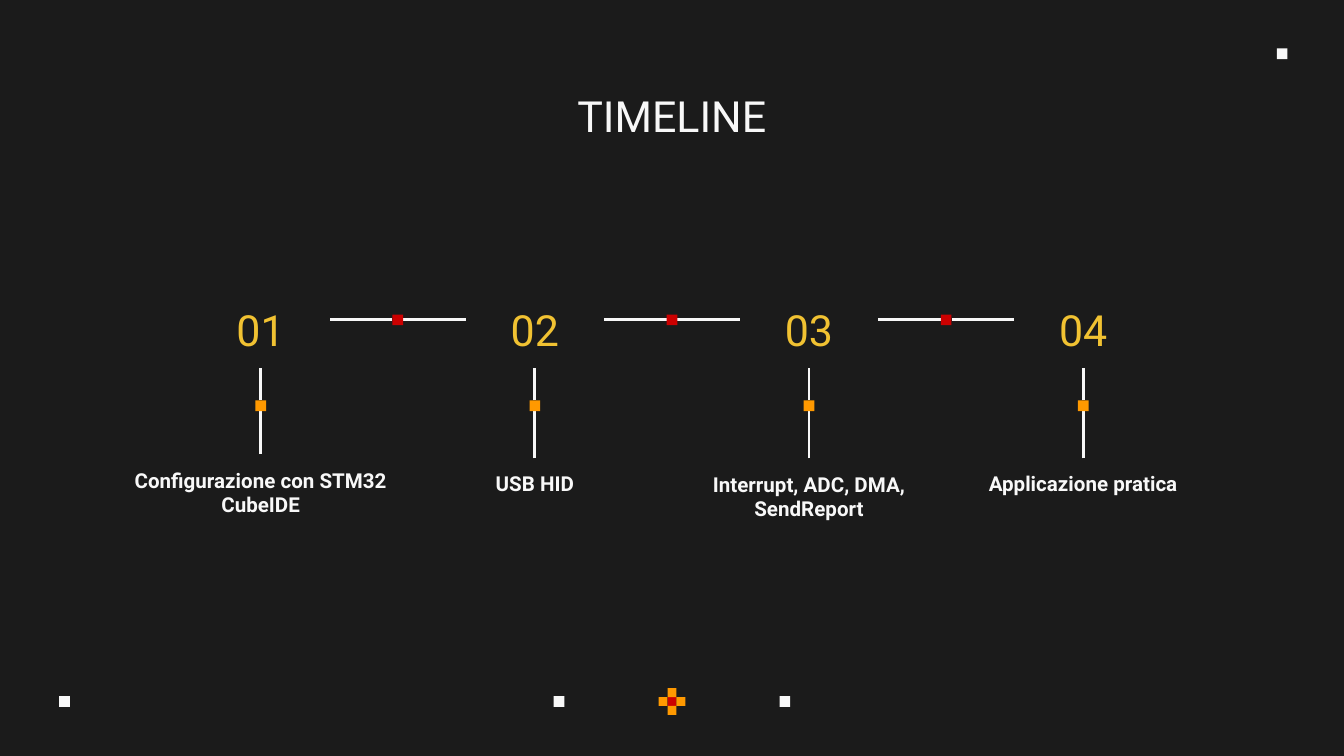
from lxml import etree
from pptx import Presentation
from pptx.dml.color import RGBColor
from pptx.enum import shapes, text
from pptx.oxml.ns import qn
from pptx.util import Inches, Pt

DARK = RGBColor(0x1B, 0x1B, 0x1B)
WHITE = RGBColor(0xF8, 0xF8, 0xF8)
GOLD = RGBColor(0xF1, 0xC2, 0x32)
AMBER = RGBColor(0xFF, 0x99, 0x00)
RED = RGBColor(0xCC, 0x00, 0x00)

# Content: label, its top, width and height
TITLE = "TIMELINE"
STEPS = [
    ("Configurazione con STM32 CubeIDE", 3.38, 2.42, 1.27),
    ("USB HID", 3.41, 1.41, 0.72),
    ("Interrupt, ADC, DMA, SendReport", 3.41, 2.12, 0.72),
    ("Applicazione pratica", 3.41, 2.06, 0.72),
]
DOTS = [(4.16, 5.22), (5.84, 5.22), (0.48, 5.22), (9.54, 0.4)]
CROSS = [(0, 0, RED), (0, -1, AMBER), (-1, 0, AMBER), (1, 0, AMBER), (0, 1, AMBER)]

# Layout
FIRST, STEP = 1.94, 2.04
NUM_TOP, NUM_W, NUM_H = 2.02, 1.03, 0.72
LINK_Y, KNOT_Y = 2.38, 3.02
DOT, CELL = 0.08, 0.2 / 3

deck = Presentation()
deck.slide_width = Inches(10)
deck.slide_height = deck.slide_width * 9 // 16
slide = deck.slides.add_slide(deck.slide_layouts[6])
slide.background.fill.solid()
slide.background.fill.fore_color.rgb = DARK


def add_square(x, y, color, size=DOT):
    """Square centred on x, y."""
    box = slide.shapes.add_shape(
        shapes.MSO_SHAPE.RECTANGLE, Inches(x - size / 2), Inches(y - size / 2),
        Inches(size), Inches(size))
    box.shadow.inherit = False
    box.fill.solid()
    box.fill.fore_color.rgb = color
    box.line.fill.background()


def add_line(x1, y1, x2, y2):
    line = slide.shapes.add_connector(
        shapes.MSO_CONNECTOR.STRAIGHT, Inches(x1), Inches(y1), Inches(x2), Inches(y2))
    line.line.color.rgb = WHITE
    line.line.width = Pt(1.5)
    etree.SubElement(line._element.spPr, qn("a:effectLst"))


def add_text(words, mid, top, width, height, size, color, bold=False,
             anchor=text.MSO_ANCHOR.TOP):
    """Centred text in a box whose middle is at mid."""
    box = slide.shapes.add_textbox(
        Inches(mid - width / 2), Inches(top), Inches(width), Inches(height))
    frame = box.text_frame
    frame.word_wrap = True
    frame.vertical_anchor = anchor
    frame.margin_left = frame.margin_right = Inches(0.1)
    frame.margin_top = frame.margin_bottom = Inches(0.1)
    para = frame.paragraphs[0]
    para.text = words
    para.alignment = text.PP_ALIGN.CENTER
    font = para.font
    font.name, font.size, font.bold = "Roboto", Pt(size), bold
    font.color.rgb = color


# Corner and footer ornaments
for x, y in DOTS:
    add_square(x, y, WHITE)
for col, row, color in CROSS:
    add_square(5 + col * CELL, 5.22 + row * CELL, color, CELL)

add_text(TITLE, 5, 0.57, 8.44, 0.51, 23, WHITE)

# Steps: number, stem with knot, label, link to the next step
for i, (label, top, width, height) in enumerate(STEPS):
    mid = FIRST + i * STEP
    add_text(f"{i + 1:02}", mid, NUM_TOP, NUM_W, NUM_H, 23, GOLD,
             anchor=text.MSO_ANCHOR.BOTTOM)
    add_text(label, mid, top, width, height, 11, WHITE, bold=True)
    add_line(mid, KNOT_Y - DOT / 2, mid, NUM_TOP + NUM_H)
    add_line(mid, top, mid, KNOT_Y + DOT / 2)
    add_square(mid, KNOT_Y, AMBER)
    if i < len(STEPS) - 1:
        half = mid + STEP / 2
        add_line(half - DOT / 2, LINK_Y, mid + NUM_W / 2, LINK_Y)
        add_line(mid + STEP - NUM_W / 2, LINK_Y, half + DOT / 2, LINK_Y)
        add_square(half, LINK_Y, RED)

deck.save("out.pptx")
